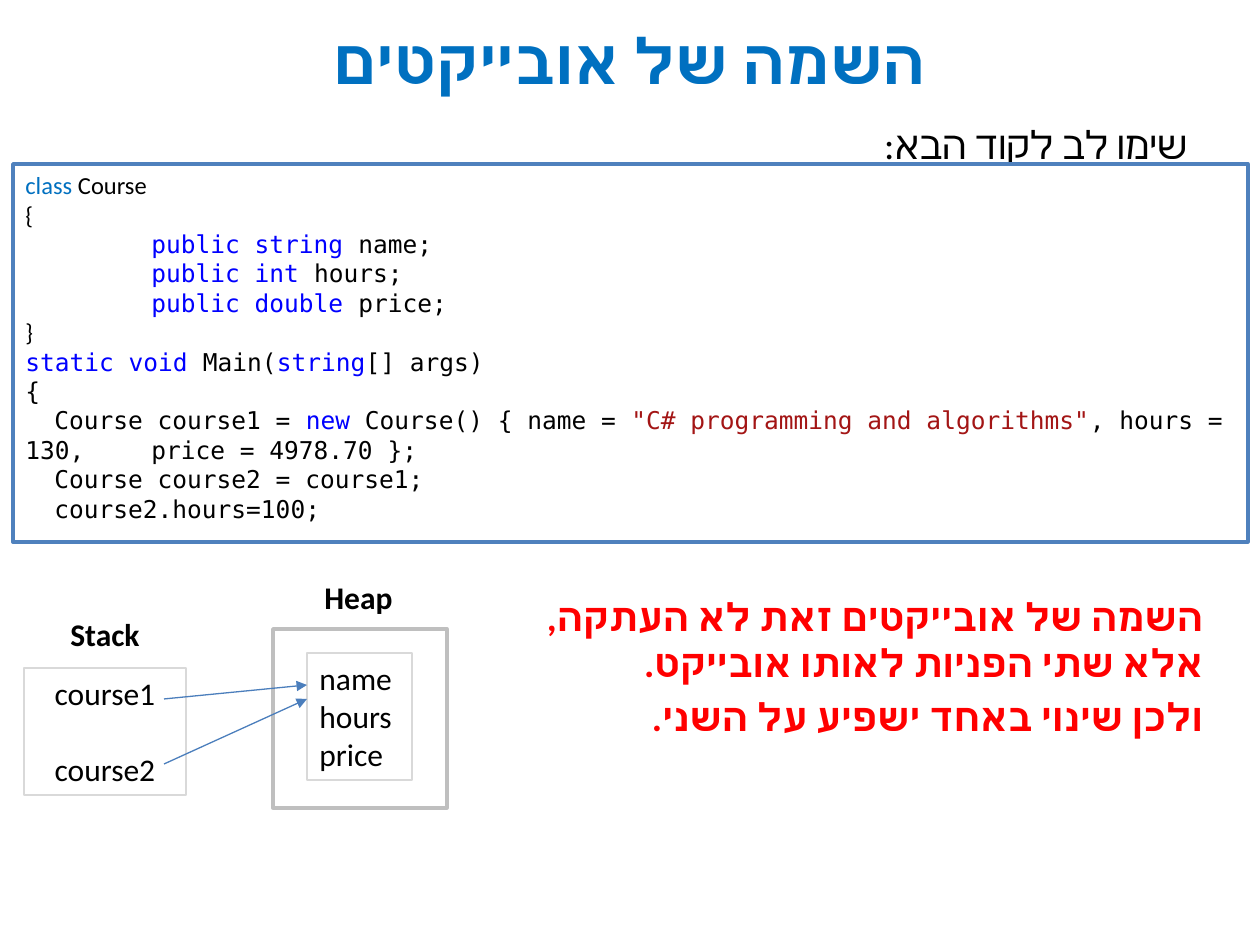
from pptx import Presentation
from pptx.dml.color import RGBColor
from pptx.enum.shapes import MSO_CONNECTOR as CONNECTOR, MSO_SHAPE as SHAPE
from pptx.enum.text import MSO_ANCHOR as ANCHOR, PP_ALIGN as ALIGN
from pptx.oxml.ns import qn
from pptx.util import Pt
from lxml.etree import SubElement

SCALE = 914400 / 126
BLACK = RGBColor(0, 0, 0)
WHITE = RGBColor(0xFF, 0xFF, 0xFF)
TITLE_BLUE = RGBColor(0x00, 0x70, 0xC0)
FRAME_BLUE = RGBColor(0x4F, 0x81, 0xBD)
ARROW_BLUE = RGBColor(0x4B, 0x7E, 0xBC)
KEYWORD = RGBColor(0x00, 0x00, 0xFF)
STRING = RGBColor(0xA3, 0x15, 0x15)
RED = RGBColor(0xFF, 0, 0)
PALE_GREY = RGBColor(0xD9, 0xD9, 0xD9)
GREY = RGBColor(0xBF, 0xBF, 0xBF)
SANS, MONO = "Calibri", "DejaVu Sans Mono"


def px(n):
    return round(n * SCALE)


def add_run(paragraph, text, size, color=BLACK, bold=False, font=SANS):
    run = paragraph.add_run()
    run.text = text
    for name, value in {"size": Pt(size), "bold": bold, "name": font}.items():
        setattr(run.font, name, value)
    run.font.color.rgb = color
    return run


prs = Presentation()
prs.slide_width, prs.slide_height = px(1260), px(945)
slide = prs.slides.add_slide(prs.slide_layouts[6])
shapes = slide.shapes

# Hebrew title, lead-in and conclusion
hebrew_texts = [
    ((0, 15, 1260, 89), ["השמה של אובייקטים"], 36, TITLE_BLUE, True, ALIGN.CENTER, ANCHOR.MIDDLE),
    ((66, 115, 1134, 53), ["שימו לב לקוד הבא:"], 22.2, BLACK, False, ALIGN.RIGHT, ANCHOR.TOP),
    ((533, 587, 683, 176),
     ["השמה של אובייקטים זאת לא העתקה, אלא שתי הפניות לאותו אובייקט.",
      "ולכן שינוי באחד ישפיע על השני."], 22, RED, True, ALIGN.RIGHT, ANCHOR.TOP),
]
for box, lines, size, color, bold, align, anchor in hebrew_texts:
    frame = shapes.add_textbox(*map(px, box)).text_frame
    frame.word_wrap, frame.vertical_anchor = True, anchor
    for i, line in enumerate(lines):
        p = frame.add_paragraph() if i else frame.paragraphs[0]
        p.alignment = align
        p.space_before = Pt(4.4 if i else 0)
        p._p.get_or_add_pPr().set("rtl", "1")
        run = add_run(p, line, size, color, bold)
        SubElement(run.font._element, qn("a:cs"), typeface=SANS)

# Frames: code, stack, object, heap
frames = []
for box, color, width, fill in [
    ((13, 164, 1235, 378), FRAME_BLUE, 2, WHITE),
    ((24, 668, 162, 127), PALE_GREY, 0.75, None),
    ((307, 653, 105, 127), PALE_GREY, 0.75, None),
    ((273, 629, 174, 179), GREY, 2, None),
]:
    rect = shapes.add_shape(SHAPE.RECTANGLE, *map(px, box))
    rect.shadow.inherit = False
    if fill is None:
        rect.fill.background()
    else:
        rect.fill.solid()
        rect.fill.fore_color.rgb = fill
    rect.line.color.rgb, rect.line.width = color, Pt(width)
    rect.text_frame.word_wrap = True
    rect.text_frame.vertical_anchor = ANCHOR.TOP
    frames.append(rect.text_frame)
code, stack, fields, heap = frames

# Code lines: left margin, first-line indent, font, coloured pieces
MEMBER, STATEMENT = (126, 0, MONO), (0, 29, MONO)
PLAIN, PLAIN_SANS = (0, 0, MONO), (0, 0, SANS)
code_lines = [
    (PLAIN_SANS, [("class ", TITLE_BLUE), ("Course", BLACK)]),
    (PLAIN_SANS, [("{", BLACK)]),
    (MEMBER, [("public string", KEYWORD), (" name;", BLACK)]),
    (MEMBER, [("public int", KEYWORD), (" hours;", BLACK)]),
    (MEMBER, [("public double", KEYWORD), (" price;", BLACK)]),
    (PLAIN_SANS, [("}", BLACK)]),
    (PLAIN, [("static void", KEYWORD), (" Main(", BLACK), ("string", KEYWORD), ("[] args)", BLACK)]),
    (PLAIN, [("{", BLACK)]),
    (STATEMENT, [("Course course1 = ", BLACK), ("new", KEYWORD), (" Course() { name = ", BLACK),
                 ('"C# programming and algorithms"', STRING),
                 (", hours = 130, \tprice = 4978.70 };", BLACK)]),
    (STATEMENT, [("Course course2 = course1;", BLACK)]),
    (STATEMENT, [("course2.hours=100;", BLACK)]),
]
for i, ((margin, indent, font), pieces) in enumerate(code_lines):
    p = code.add_paragraph() if i else code.paragraphs[0]
    p.alignment = ALIGN.LEFT
    props = p._p.get_or_add_pPr()
    props.set("marL", str(px(margin)))
    props.set("indent", str(px(indent)))
    if any("\t" in text for text, _ in pieces):
        tabs = SubElement(props, qn("a:tabLst"))
        SubElement(tabs, qn("a:tab"), pos=str(px(495)), algn="l")
    for text, color in pieces:
        add_run(p, text, 14, color, font=font)

# Stack variables and object fields
for frame, names, align, gap in [
    (stack, ["course1", "course2"], ALIGN.CENTER, 22),
    (fields, ["name", "hours", "price"], ALIGN.LEFT, 0),
]:
    for i, name in enumerate(names):
        p = frame.add_paragraph() if i else frame.paragraphs[0]
        p.alignment = align
        p.space_before = Pt(gap if i else 0)
        add_run(p, name, 18)

# Memory area headings
for box, heading, align in [
    ((24, 609, 162, 50), "Stack", ALIGN.CENTER),
    ((312, 572, 100, 50), "Heap", ALIGN.LEFT),
]:
    frame = shapes.add_textbox(*map(px, box)).text_frame
    frame.word_wrap = True
    frame.paragraphs[0].alignment = align
    add_run(frame.paragraphs[0], heading, 18, bold=True)

# References from both variables to the one object
for start_y, end_y in [(699, 685), (764, 699)]:
    arrow = shapes.add_connector(CONNECTOR.STRAIGHT, px(164), px(start_y), px(307), px(end_y))
    arrow.line.color.rgb, arrow.line.width = ARROW_BLUE, Pt(0.75)
    SubElement(arrow.line._get_or_add_ln(), qn("a:tailEnd"), type="triangle")
    SubElement(arrow._element.spPr, qn("a:effectLst"))

prs.save("out.pptx")
